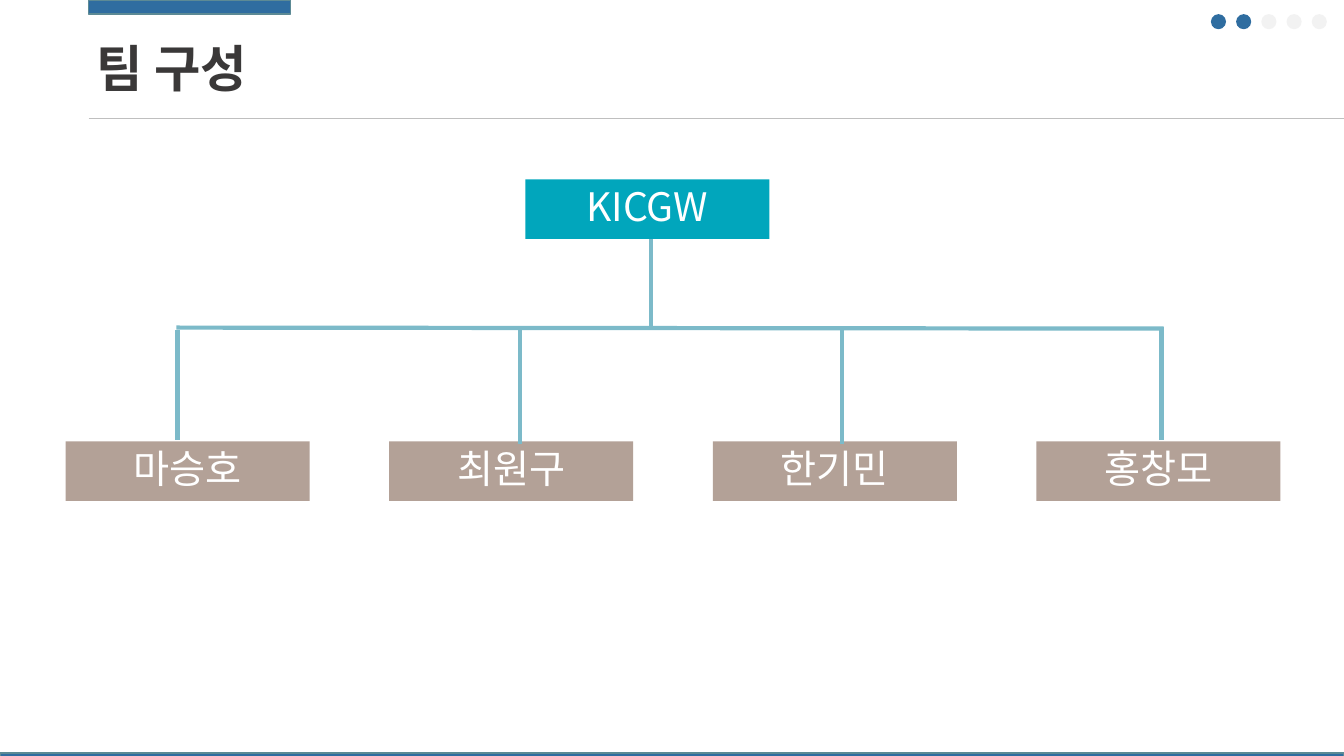
from typing import NamedTuple

from lxml import etree
from pptx import Presentation
from pptx.dml.color import RGBColor
from pptx.enum.shapes import MSO_CONNECTOR, MSO_SHAPE
from pptx.enum.text import MSO_ANCHOR, MSO_AUTO_SIZE, PP_ALIGN
from pptx.oxml.ns import qn
from pptx.util import Inches, Pt

RECT, OVAL = MSO_SHAPE.RECTANGLE, MSO_SHAPE.OVAL
STRAIGHT = MSO_CONNECTOR.STRAIGHT
LEFT, CENTER = PP_ALIGN.LEFT, PP_ALIGN.CENTER
MIDDLE = MSO_ANCHOR.MIDDLE
FIT_SHAPE = MSO_AUTO_SIZE.SHAPE_TO_FIT_TEXT

FONT = "Noto Sans CJK KR"
COLORS = {
    "blue": "2F6DA0",
    "bar_edge": "5C8A95",
    "title": "3A3838",
    "dot_off": "F2F2F2",
    "rule": "BFBFBF",
    "team": "01A6BC",
    "member": "B3A197",
    "branch": "7CBAC9",
    "white": "FFFFFF",
}

BOX_W, BOX_H = 2.42, 0.59
MEMBER_LEFT, MEMBER_TOP, MEMBER_STEP = 0.65, 4.38, 3.21
DOT_LEFT, DOT_STEP, DOT_SIZE = 12.01, 0.25, 0.15
DOT_COUNT, DOTS_ON = 5, 2


class Box(NamedTuple):
    text: str
    left: float
    top: float
    color: str


class Line(NamedTuple):
    x1: float
    y1: float
    x2: float
    y2: float
    color: str = "branch"
    width: float = 3


MEMBERS = ["마승호", "최원구", "한기민", "홍창모"]
BOXES = [Box("KICGW", 5.21, 1.78, "team")] + [
    Box(name, MEMBER_LEFT + i * MEMBER_STEP, MEMBER_TOP, "member")
    for i, name in enumerate(MEMBERS)
]
HEADER_RULE = Line(0.88, 1.17, 13.33, 1.17, "rule", 0.5)
BRANCHES = [
    Line(1.75, 3.25, 11.54, 3.26),
    Line(1.76, 3.27, 1.76, 4.37),
    Line(5.16, 3.27, 5.16, 4.4),
    Line(8.35, 3.25, 8.35, 4.4),
    Line(11.52, 3.24, 11.52, 4.37),
    Line(6.46, 2.37, 6.46, 3.27),
]


def rgb(name: str) -> RGBColor:
    return RGBColor.from_string(COLORS[name])


def write_text(tf, text: str, *, size: float, color: str, bold: bool = False,
               align=LEFT, line_spacing: float = 1.0) -> None:
    p = tf.paragraphs[0]
    p.alignment = align
    p.line_spacing = line_spacing
    r = p.add_run()
    r.text = text
    r.font.size = Pt(size)
    r.font.bold = bold
    r.font.color.rgb = rgb(color)
    r.font.name = FONT
    etree.SubElement(r.font._element, qn("a:ea"), typeface=FONT)


def add_filled(slide, kind, left: float, top: float, width: float, height: float,
               fill: str, edge: str | None = None):
    sp = slide.shapes.add_shape(kind, Inches(left), Inches(top), Inches(width), Inches(height))
    sp.shadow.inherit = False
    sp.fill.solid()
    sp.fill.fore_color.rgb = rgb(fill)
    if edge:
        sp.line.color.rgb = rgb(edge)
        sp.line.width = Pt(1)
    else:
        sp.line.fill.background()
    return sp


def add_box(slide, box: Box) -> None:
    sp = add_filled(slide, RECT, box.left, box.top, BOX_W, BOX_H, box.color)
    tf = sp.text_frame
    tf.word_wrap = True
    tf.vertical_anchor = MIDDLE
    tf.margin_left = tf.margin_right = tf.margin_top = tf.margin_bottom = Inches(0.3)
    write_text(tf, box.text, size=28, color="white", align=CENTER, line_spacing=0.9)


def add_line(slide, line: Line) -> None:
    cxn = slide.shapes.add_connector(
        STRAIGHT, Inches(line.x1), Inches(line.y1), Inches(line.x2), Inches(line.y2))
    cxn.line.color.rgb = rgb(line.color)
    cxn.line.width = Pt(line.width)
    etree.SubElement(cxn._element.spPr, qn("a:effectLst"))


def add_title(slide, text: str) -> None:
    sp = slide.shapes.add_textbox(Inches(0.86), Inches(0.32), Inches(1.88), Inches(0.71))
    tf = sp.text_frame
    tf.word_wrap = False
    tf.auto_size = FIT_SHAPE
    write_text(tf, text, size=36, color="title", bold=True)


def main() -> None:
    prs = Presentation()
    prs.slide_width, prs.slide_height = Inches(13.33), Inches(7.5)
    slide = prs.slides.add_slide(prs.slide_layouts[6])

    add_filled(slide, RECT, 0.88, 0, 2, 0.14, "blue", "bar_edge")
    add_filled(slide, RECT, 0, 7.47, 13.33, 0.05, "blue", "bar_edge")
    add_title(slide, "팀 구성")
    for i in range(DOT_COUNT):
        add_filled(slide, OVAL, DOT_LEFT + i * DOT_STEP, 0.14, DOT_SIZE, DOT_SIZE,
                   "blue" if i < DOTS_ON else "dot_off")
    add_line(slide, HEADER_RULE)
    for box in BOXES:
        add_box(slide, box)
    for branch in BRANCHES:
        add_line(slide, branch)

    prs.save("out.pptx")


if __name__ == "__main__":
    main()
